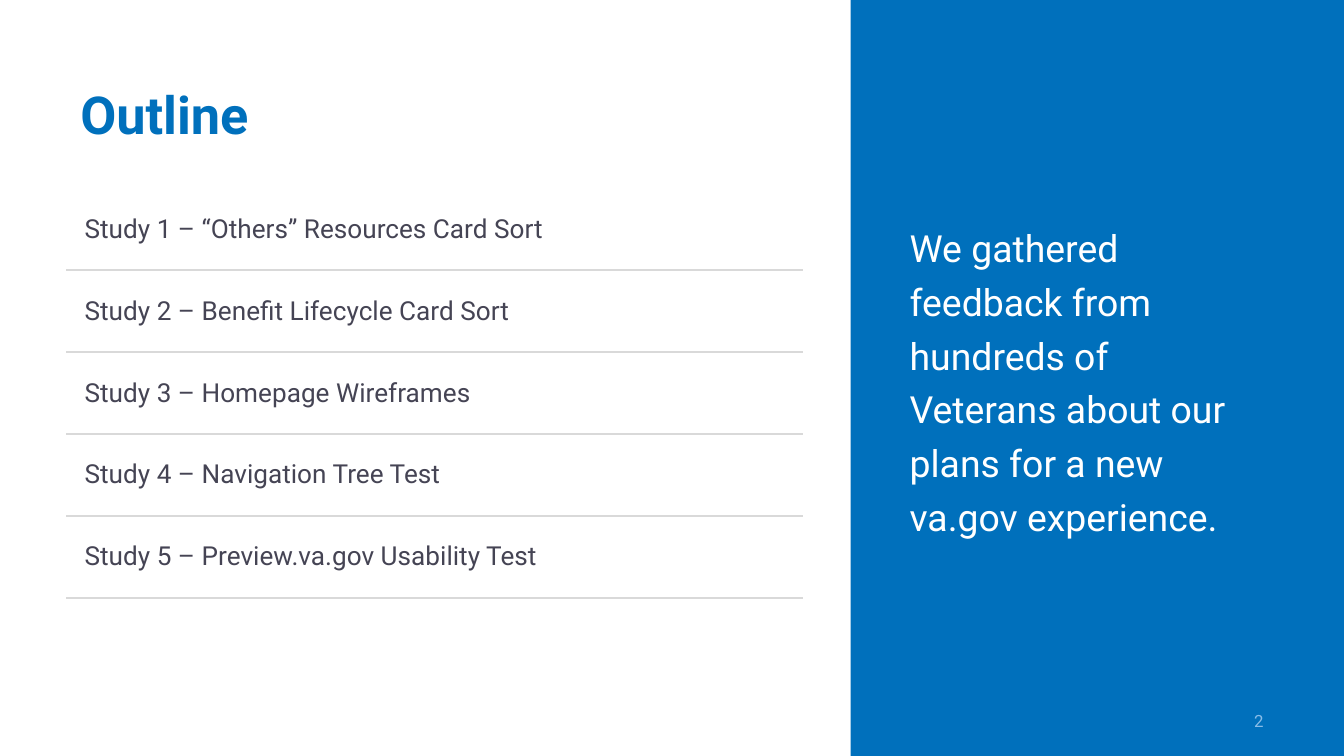
from lxml import etree
from pptx import Presentation
from pptx.dml.color import RGBColor
from pptx.enum.shapes import MSO_SHAPE
from pptx.enum.text import MSO_ANCHOR, PP_ALIGN
from pptx.oxml.ns import qn
from pptx.util import Inches, Pt

RECTANGLE = MSO_SHAPE.RECTANGLE
TOP, MIDDLE = MSO_ANCHOR.TOP, MSO_ANCHOR.MIDDLE
LEFT, RIGHT = PP_ALIGN.LEFT, PP_ALIGN.RIGHT

FONT = "Roboto"
COLORS = {
    "blue": "0070BC",
    "white": "FFFFFF",
    "rule": "D9D9D9",
    "text": "454454",
    "page": "89BDE8",
}
SLIDE_WIDTH = 10
SLIDE_HEIGHT = SLIDE_WIDTH * 9 / 16
STUDIES = [
    "Study 1 – “Others” Resources Card Sort",
    "Study 2 – Benefit Lifecycle Card Sort",
    "Study 3 – Homepage Wireframes",
    "Study 4 – Navigation Tree Test",
    "Study 5 – Preview.va.gov Usability Test",
]
COLUMN_WIDTHS = [4.39, 1.08]
ROW_HEIGHT = 0.61


def color(name):
    return RGBColor.from_string(COLORS[name])


def write_text(frame, text, size, color_name, bold=False, align=LEFT,
               spacing=None, space_after=None):
    paragraph = frame.paragraphs[0]
    paragraph.alignment = align
    if spacing:
        paragraph.line_spacing = spacing
    if space_after:
        paragraph.space_after = Pt(space_after)
    run = paragraph.add_run()
    run.text = text
    run.font.name = FONT
    run.font.size = Pt(size)
    run.font.bold = bold
    run.font.color.rgb = color(color_name)


def add_text(slide, text, left, top, width, height, anchor=MIDDLE, **text_format):
    box = slide.shapes.add_textbox(Inches(left), Inches(top), Inches(width), Inches(height))
    frame = box.text_frame
    frame.word_wrap = True
    frame.vertical_anchor = anchor
    write_text(frame, text, **text_format)


def add_panel(slide, left, top, width, height):
    panel = slide.shapes.add_shape(
        RECTANGLE, Inches(left), Inches(top), Inches(width), Inches(height))
    panel.shadow.inherit = False
    panel.fill.solid()
    panel.fill.fore_color.rgb = color("blue")
    panel.line.fill.background()


def set_borders(cell, **sides):
    """Draw one-point borders; sides come in the order L, R, T, B."""
    properties = cell._tc.get_or_add_tcPr()
    for side, color_name in sides.items():
        line = etree.SubElement(properties, qn(f"a:ln{side}"), w=str(Pt(1)))
        fill = etree.SubElement(line, qn("a:solidFill"))
        etree.SubElement(fill, qn("a:srgbClr"), val=COLORS[color_name])


def add_study_table(slide, left, top):
    frame = slide.shapes.add_table(
        len(STUDIES), len(COLUMN_WIDTHS), Inches(left), Inches(top),
        Inches(sum(COLUMN_WIDTHS)), Inches(ROW_HEIGHT * len(STUDIES)))
    table = frame.table
    table.first_row = table.horz_banding = False
    for column, width in zip(table.columns, COLUMN_WIDTHS):
        column.width = Inches(width)
    for index, study in enumerate(STUDIES):
        row = table.rows[index]
        row.height = Inches(ROW_HEIGHT)
        for cell in row.cells:
            set_borders(cell, L="white", R="white", T="rule" if index else "white", B="rule")
            cell.fill.background()
            cell.vertical_anchor = MIDDLE
            cell.margin_left = cell.margin_right = Inches(0.13)
        write_text(row.cells[0].text_frame, study, size=14, color_name="text")


def main():
    presentation = Presentation()
    presentation.slide_width = Inches(SLIDE_WIDTH)
    presentation.slide_height = Inches(SLIDE_HEIGHT)
    slide = presentation.slides.add_slide(presentation.slide_layouts[6])

    add_panel(slide, 6.33, 0, 3.67, SLIDE_HEIGHT)
    add_text(slide, "Outline", 0.5, 0.56, 5.46, 0.71, anchor=TOP,
             size=28, color_name="blue", bold=True)
    add_study_table(slide, 0.5, 1.4)
    add_text(slide,
             "We gathered feedback from hundreds of Veterans about our plans "
             "for a new va.gov experience.",
             6.67, 0.56, 2.83, 4.5, size=20, color_name="white",
             spacing=1.2, space_after=6)
    add_text(slide, "2", 8.75, 5.21, 0.75, 0.3, size=9, color_name="page", align=RIGHT)

    presentation.save("out.pptx")


if __name__ == "__main__":
    main()
